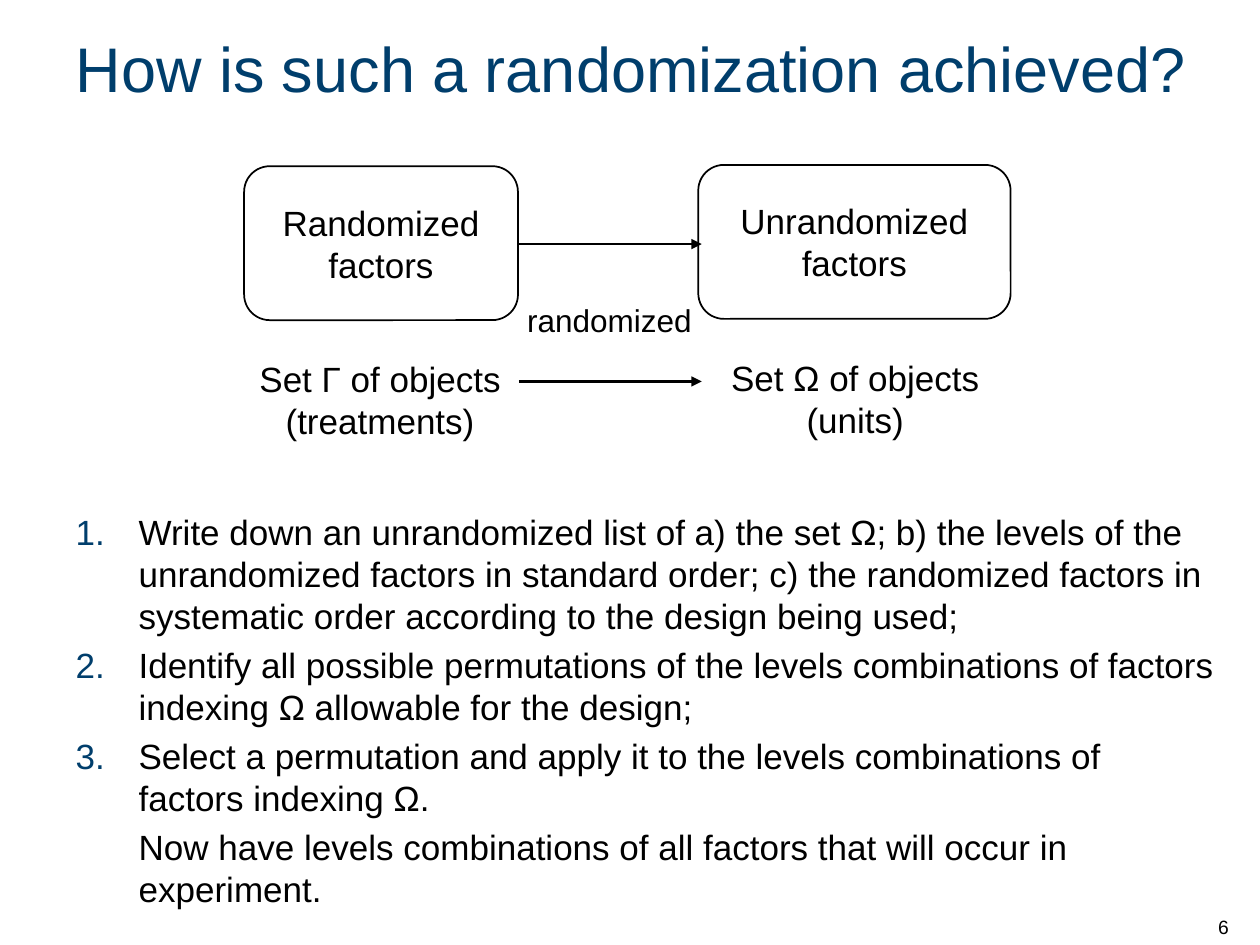
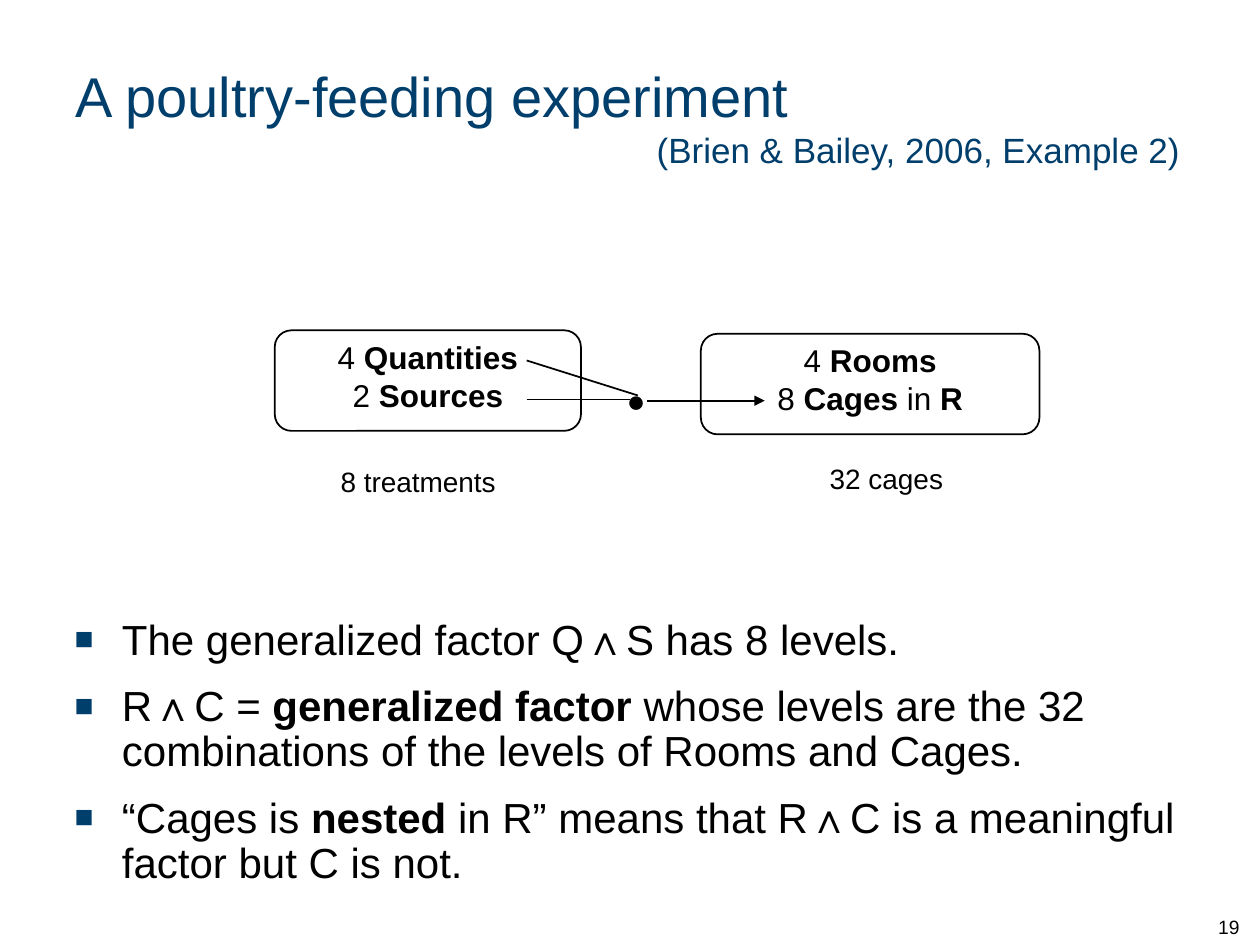
from lxml import etree
from pptx import Presentation
from pptx.dml.color import RGBColor
from pptx.enum import shapes, text
from pptx.oxml.ns import qn
from pptx.util import Pt

NAVY = RGBColor(0x00, 0x3E, 0x6C)
BLACK = RGBColor(0, 0, 0)
FONT = "Arial"
CENTER = text.PP_ALIGN.CENTER

# Boxes are (left, top, width, height) in points; *asterisks* mark bold words.
RANDOMIZATION = {
    "number": "6",
    "title_box": (36, 6, 671, 65),
    "title": [("How is such a randomization achieved?", 36, 0)],
    "body_box": (36, 288, 666, 241),
    "body_size": 20,
    "indent": 36,
    "bullet": ("buAutoNum", {"type": "arabicPeriod"}),
    "space_before": 4,
    "items": [
        "Write down an unrandomized list of a) the set Ω; b) the levels of the "
        "unrandomized factors in standard order; c) the randomized factors in "
        "systematic order according to the design being used;",
        "Identify all possible permutations of the levels combinations of factors "
        "indexing Ω allowable for the design;",
        "Select a permutation and apply it to the levels combinations of factors "
        "indexing Ω.",
    ],
    "conclusion": "Now have levels combinations of all factors that will occur in experiment.",
    "arrow_width": 1.5,
    "arrows": [((296.5, 139.5), (401, 139.5)), ((296.5, 218), (401, 218))],
    "factor_size": 20,
    "factor_boxes": [
        ((139.5, 95, 156.5, 88), ["Randomized", "factors"]),
        ((399, 94.25, 178.5, 88), ["Unrandomized", "factors"]),
    ],
    "labels": [
        ((265.5, 168.5, 165.5, 29), 18, ["randomized"]),
        ((139.5, 201, 155.5, 55.5), 20, ["Set Γ of objects", "(treatments)"]),
        ((407, 200, 163.5, 55.5), 20, ["Set Ω of objects", "(units)"]),
    ],
}

POULTRY = {
    "number": "19",
    "title_box": (36, 36, 648, 61),
    "title": [("A poultry-feeding experiment", 32, 0),
              ("(Brien & Bailey, 2006, Example 2)", 20, 332)],
    "body_box": (35.5, 350, 648, 168.5),
    "body_size": 24,
    "indent": 27,
    "bullet": ("buChar", {"char": "■"}),
    "bullet_percent": 75,
    "line_spacing": 0.9,
    "space_after": 12,
    "items": [
        "The generalized factor Q∧S has 8 levels.",
        "R∧C = *generalized factor* whose levels are the 32 combinations of the "
        "levels of Rooms and Cages.",
        "“Cages is *nested* in R” means that R∧C is a meaningful factor but C is not.",
    ],
    "arrow_width": 1,
    "arrows": [((370, 229), (437, 229))],
    "lines": [((301, 206), (364.5, 226)), ((301, 228.25), (360, 228.25))],
    "factor_size": 18,
    "factor_insets": (0.75, 1.5),
    "factor_boxes": [
        ((157, 188.75, 175, 57.5), ["4 *Quantities*", "2 *Sources*"]),
        ((400.5, 190.75, 193.5, 57.5), ["4 *Rooms*", "8 *Cages* in *R*"]),
    ],
    "labels": [
        ((348.5, 214, 30, 29), 18, ["●"]),
        ((447, 260, 119, 26.5), 16, ["32 cages"]),
        ((179.5, 262, 119, 26.5), 16, ["8 treatments"]),
    ],
}


def place(shape, box):
    shape.left, shape.top, shape.width, shape.height = map(Pt, box)


def write(paragraph, marked_text, size, color=BLACK, alignment=text.PP_ALIGN.LEFT):
    """Fill a paragraph with runs; text between asterisks is bold."""
    paragraph.alignment = alignment
    for index, part in enumerate(marked_text.split("*")):
        if part:
            run = paragraph.add_run()
            run.text = part
            run.font.name = FONT
            run.font.size = Pt(size)
            run.font.bold = index % 2 == 1
            run.font.color.rgb = color


def paragraphs_for(text_frame, count):
    while len(text_frame.paragraphs) < count:
        text_frame.add_paragraph()
    return text_frame.paragraphs


def write_lines(text_frame, lines, size, alignment=CENTER):
    for paragraph, line in zip(paragraphs_for(text_frame, len(lines)), lines):
        write(paragraph, line, size, alignment=alignment)


def set_bullet(paragraph, margin, hanging, bullet, percent=100):
    properties = paragraph._p.get_or_add_pPr()
    properties.set("marL", str(Pt(margin)))
    properties.set("indent", str(-Pt(hanging)))
    tag, attributes = bullet
    if tag != "buNone":
        color = etree.SubElement(properties, qn("a:buClr"))
        etree.SubElement(color, qn("a:srgbClr"), val=str(NAVY))
        etree.SubElement(properties, qn("a:buSzPct"), val=str(percent * 1000))
        etree.SubElement(properties, qn("a:buFont"), typeface=FONT)
    etree.SubElement(properties, qn("a:" + tag), attributes)


def add_title(slide, content):
    title = slide.shapes.title
    place(title, content["title_box"])
    frame = title.text_frame
    frame.auto_size = text.MSO_AUTO_SIZE.NONE
    frame.vertical_anchor = text.MSO_ANCHOR.MIDDLE
    lines = content["title"]
    for paragraph, (line, size, margin) in zip(paragraphs_for(frame, len(lines)), lines):
        set_bullet(paragraph, margin, 0, ("buNone", {}))
        write(paragraph, line, size, NAVY)


def add_body(slide, content):
    body = slide.placeholders[1]
    place(body, content["body_box"])
    frame = body.text_frame
    frame.auto_size = text.MSO_AUTO_SIZE.NONE
    indent = content["indent"]
    entries = [(item, indent, content["bullet"]) for item in content["items"]]
    if "conclusion" in content:
        entries.append((content["conclusion"], 0, ("buNone", {})))
    paragraphs = paragraphs_for(frame, len(entries))
    for index, (paragraph, entry) in enumerate(zip(paragraphs, entries)):
        item, hanging, bullet = entry
        set_bullet(paragraph, indent, hanging, bullet, content.get("bullet_percent", 100))
        paragraph.space_before = Pt(content.get("space_before", 0) if index else 0)
        paragraph.space_after = Pt(content.get("space_after", 0))
        paragraph.line_spacing = content.get("line_spacing", 1.0)
        write(paragraph, item, content["body_size"])


def add_line(slide, ends, width, arrow=False):
    (x1, y1), (x2, y2) = ends
    line = slide.shapes.add_connector(
        shapes.MSO_CONNECTOR.STRAIGHT, Pt(x1), Pt(y1), Pt(x2), Pt(y2))
    line.line.color.rgb = BLACK
    line.line.width = Pt(width)
    if arrow:
        etree.SubElement(line.line._get_or_add_ln(), qn("a:tailEnd"), type="triangle")
    etree.SubElement(line._element.spPr, qn("a:effectLst"))


def add_factor_box(slide, box, lines, size, insets):
    shape = slide.shapes.add_shape(shapes.MSO_SHAPE.ROUNDED_RECTANGLE, *map(Pt, box))
    shape.shadow.inherit = False
    shape.fill.background()
    shape.line.color.rgb = BLACK
    shape.line.width = Pt(1)
    frame = shape.text_frame
    frame.word_wrap = insets is not None
    frame.vertical_anchor = text.MSO_ANCHOR.MIDDLE
    if insets:
        frame.vertical_anchor = text.MSO_ANCHOR.TOP
        frame.margin_left = frame.margin_right = Pt(insets[0])
        frame.margin_top = frame.margin_bottom = Pt(insets[1])
    write_lines(frame, lines, size)


def add_label(slide, box, size, lines, alignment=CENTER, anchor=text.MSO_ANCHOR.TOP):
    frame = slide.shapes.add_textbox(*map(Pt, box)).text_frame
    frame.word_wrap = True
    frame.vertical_anchor = anchor
    write_lines(frame, lines, size, alignment)


def add_slide(presentation, content):
    slide = presentation.slides.add_slide(presentation.slide_layouts[1])
    add_title(slide, content)
    add_body(slide, content)
    add_label(slide, (689, 504, 30, 36), 11, [content["number"]],
              text.PP_ALIGN.LEFT, text.MSO_ANCHOR.BOTTOM)
    for ends in content["arrows"]:
        add_line(slide, ends, content["arrow_width"], arrow=True)
    for ends in content.get("lines", []):
        add_line(slide, ends, content["arrow_width"])
    for box, lines in content["factor_boxes"]:
        add_factor_box(slide, box, lines, content["factor_size"],
                       content.get("factor_insets"))
    for box, size, lines in content["labels"]:
        add_label(slide, box, size, lines)


def main():
    presentation = Presentation()
    presentation.slide_width, presentation.slide_height = Pt(720), Pt(540)
    for content in (RANDOMIZATION, POULTRY):
        add_slide(presentation, content)
    presentation.save("out.pptx")


if __name__ == "__main__":
    main()
